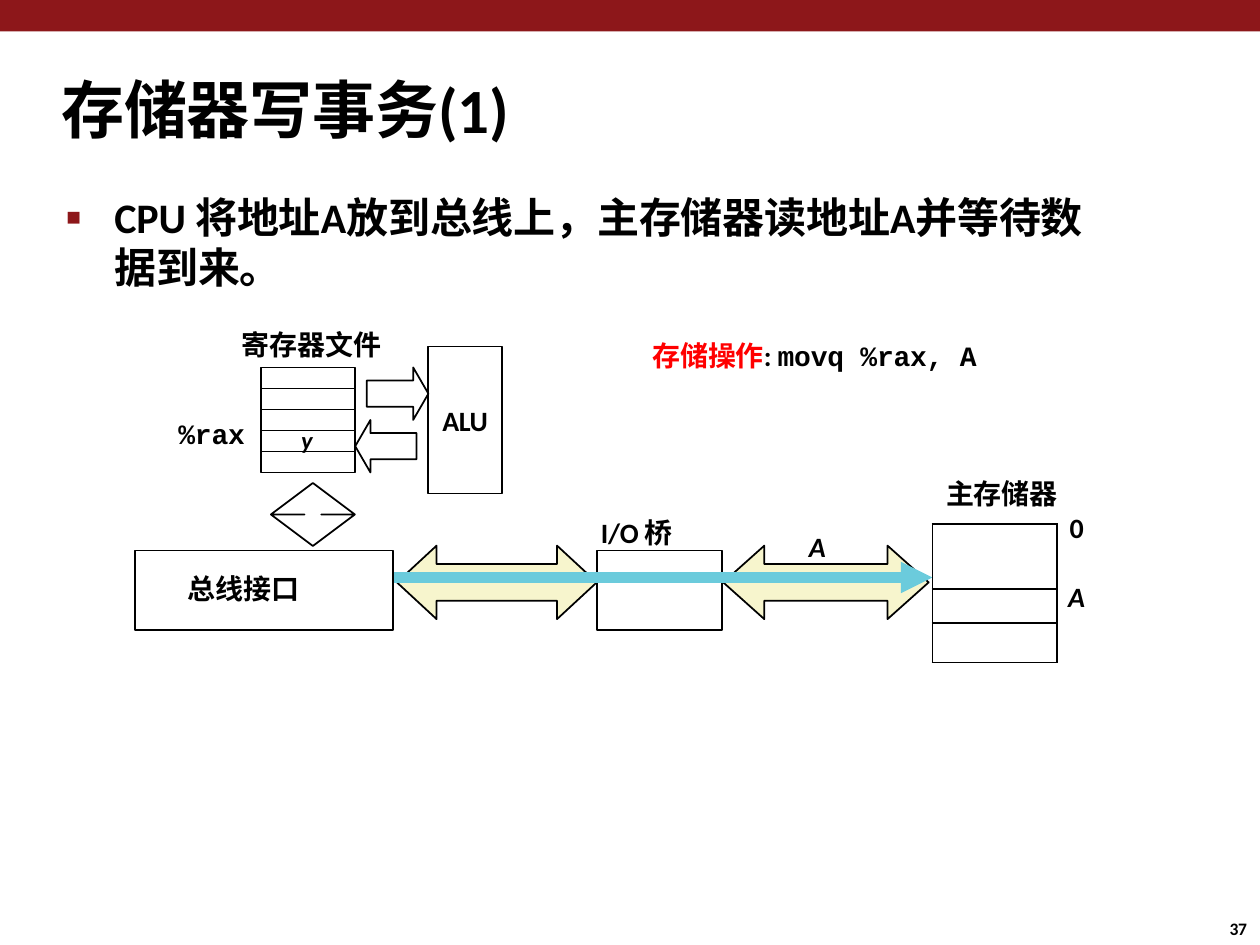
from lxml import etree
from pptx import Presentation
from pptx.dml.color import RGBColor
from pptx.enum.shapes import MSO_CONNECTOR, MSO_SHAPE as SHAPE
from pptx.enum.text import MSO_ANCHOR as ANCHOR, MSO_AUTO_SIZE, PP_ALIGN as ALIGN
from pptx.oxml import parse_xml
from pptx.oxml.ns import qn
from pptx.util import Pt

NS = 'xmlns:a="http://schemas.openxmlformats.org/drawingml/2006/main"'
BLACK, RED, MAROON, CREAM, CYAN = "000000", "FF0000", "8D171A", "F7F5CD", "6BCBDC"
MONO = "Courier New"

TITLE = "存储器写事务(1)"
BODY = "CPU 将地址A放到总线上，主存储器读地址A并等待数据到来。"
OPERATION = [("存储操作", {"color": RED}), (": ", {}), ("movq %rax, A", {"font": MONO})]

LABELS = [
    ("y", (172, 242.6, 12, 18), {"size": 14, "italic": True, "spc": 0}),
    ("寄存器文件", (138.2, 187.2, 87, 20), {"spc": 0}),
    ("总线接口", (107.2, 326.9, 88, 20), {"spc": 0}),
    ("37", (702.6, 524.6, 15, 12), {"size": 10}),
    ("A", (462.2, 302.4, 13, 20), {"italic": True}),
    ("主存储器", (540.6, 272.2, 95, 20), {}),
    ("0", (611.2, 291.6, 12, 20), {}),
    ("A", (610.4, 331.2, 13, 20), {"italic": True}),
    ("%rax", (102, 238.3, 42, 20), {"font": MONO}),
    ("I/O 桥", (343.4, 294.5, 70, 20), {}),
]
BUS_ARROWS = [
    (SHAPE.LEFT_RIGHT_ARROW, (413.3, 311.8, 117.4, 42), (0.5, 0.56)),
    (SHAPE.LEFT_RIGHT_ARROW, (226.8, 311.8, 114.2, 42), (0.5, 0.54)),
]
CPU_ARROWS = [
    (SHAPE.RIGHT_ARROW, (209.5, 210, 35.3, 30), (0.5, 0.29)),
    (SHAPE.LEFT_ARROW, (203, 240, 35, 30), (0.5, 0.29)),
    (SHAPE.UP_DOWN_ARROW, (154.8, 276, 48, 36), (0.5, 0.2)),
]
IO_BRIDGE = (341.2, 314.6, 71.6, 45.4)
BUS_INTERFACE = (77, 314.6, 147.6, 45.4)
ALU = (244.8, 198, 42, 84)
REGISTERS, REGISTER = 5, (149, 210, 54, 12)
MEMORY, MEMORY_ROWS = (532.8, 299.5, 71.3), (37.2, 19.3, 22.6)


def rgb(color):
    return RGBColor.from_string(color)


def place(sp, box):
    sp.left, sp.top, sp.width, sp.height = map(Pt, box)


def setup(sp, anchor=ANCHOR.TOP, align=ALIGN.LEFT):
    tf = sp.text_frame
    tf.auto_size = MSO_AUTO_SIZE.NONE
    tf.word_wrap = True
    tf.vertical_anchor = anchor
    tf.margin_left = tf.margin_right = tf.margin_top = tf.margin_bottom = 0
    p = tf.paragraphs[0]
    p.alignment = align
    p.space_before = Pt(0)
    return p


def write(p, text, size=16, font="Calibri", color=BLACK, italic=False, spc=-10):
    r = p.add_run()
    r.text = text
    r.font.size, r.font.name = Pt(size), font
    r.font.bold, r.font.italic = True, italic
    r.font.color.rgb = rgb(color)
    rPr = r.font._element
    rPr.set("spc", str(spc))
    etree.SubElement(rPr, qn("a:ea")).set("typeface", font)


def label(slide, box):
    sp = slide.shapes.add_textbox(*map(Pt, box))
    return setup(sp)


def block(slide, kind, box, adjust=(), fill=None, line=BLACK):
    sp = slide.shapes.add_shape(kind, *map(Pt, box))
    sp.shadow.inherit = False
    for i, value in enumerate(adjust):
        sp.adjustments[i] = value
    if fill:
        sp.fill.solid()
        sp.fill.fore_color.rgb = rgb(fill)
    else:
        sp.fill.background()
    if line:
        sp.line.color.rgb = rgb(line)
        sp.line.width = Pt(1)
    else:
        sp.line.fill.background()
    return sp


def add_headings(slide):
    title, body = slide.placeholders[0], slide.placeholders[1]
    place(title, (35, 40.3, 455, 44))
    write(setup(title), TITLE, size=36)
    place(body, (37.4, 109.4, 598, 60))
    p = setup(body)
    pPr = p._p.get_or_add_pPr()
    pPr.set("marL", str(Pt(28)))
    pPr.set("indent", str(-Pt(27.4)))
    for xml in (f'<a:buClr {NS}><a:srgbClr val="{MAROON}"/></a:buClr>',
                f'<a:buSzPct {NS} val="58000"/>',
                f'<a:buChar {NS} char="■"/>'):
        pPr.append(parse_xml(xml))
    write(p, BODY, size=24)


def add_signal(slide):
    c = slide.shapes.add_connector(
        MSO_CONNECTOR.STRAIGHT, Pt(224.6), Pt(330), Pt(532.8), Pt(330))
    c.line.color.rgb = rgb(CYAN)
    c.line.width = Pt(6)
    c.line._get_or_add_ln().append(parse_xml(f'<a:tailEnd {NS} type="triangle"/>'))
    c._element.spPr.append(parse_xml(f"<a:effectLst {NS}/>"))


def add_memory(slide):
    left, top, width = MEMORY
    frame = slide.shapes.add_table(
        len(MEMORY_ROWS), 1, Pt(left), Pt(top), Pt(width), Pt(sum(MEMORY_ROWS)))
    table = frame.table
    table.first_row = table.horz_banding = False
    for i, height in enumerate(MEMORY_ROWS):
        table.rows[i].height = Pt(height)
        cell = table.cell(i, 0)
        cell.margin_left = cell.margin_right = cell.margin_top = cell.margin_bottom = 0
        cell.text_frame.paragraphs[0]._p.get_or_add_endParaRPr().set("sz", "1000")
        tcPr = cell._tc.get_or_add_tcPr()
        for side in ("lnL", "lnR", "lnT", "lnB"):
            tcPr.append(parse_xml(
                f'<a:{side} {NS} w="{Pt(1)}"><a:solidFill><a:srgbClr val="{BLACK}"/>'
                f"</a:solidFill></a:{side}>"))
        cell.fill.background()


def main():
    prs = Presentation()
    prs.slide_width, prs.slide_height = Pt(720), Pt(540)
    slide = prs.slides.add_slide(prs.slide_layouts[1])
    block(slide, SHAPE.RECTANGLE, (0, 0, 720, 18), fill=MAROON, line=None)
    add_headings(slide)
    for kind, box, adjust in BUS_ARROWS:
        block(slide, kind, box, adjust, fill=CREAM)
    block(slide, SHAPE.RECTANGLE, IO_BRIDGE)
    left, top, width, height = REGISTER
    for i in range(REGISTERS):
        block(slide, SHAPE.RECTANGLE, (left, top + i * height, width, height))
    for kind, box, adjust in CPU_ARROWS:
        block(slide, kind, box, adjust)
    alu = block(slide, SHAPE.RECTANGLE, ALU)
    write(setup(alu, ANCHOR.MIDDLE, ALIGN.CENTER), "ALU", spc=-20)
    add_signal(slide)
    block(slide, SHAPE.RECTANGLE, BUS_INTERFACE)
    add_memory(slide)
    for text, box, style in LABELS:
        write(label(slide, box), text, **style)
    p = label(slide, (373, 193.7, 229, 20))
    for text, style in OPERATION:
        write(p, text, **style)
    prs.save("out.pptx")


if __name__ == "__main__":
    main()
